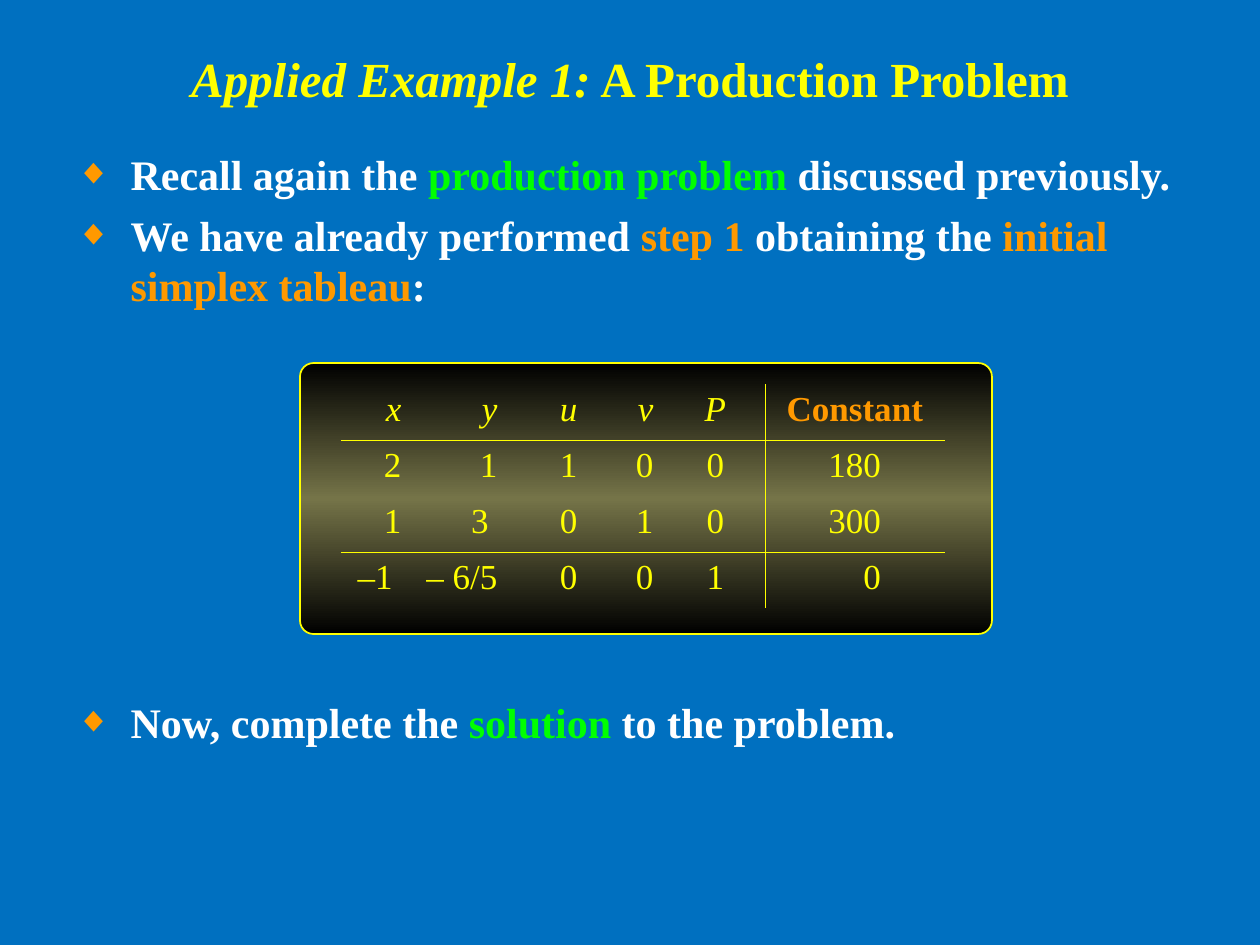
import copy

import pptx
import pptx.dml.color
import pptx.enum.shapes
import pptx.enum.text
import pptx.oxml
import pptx.oxml.ns
import pptx.util

COLORS = {
    "background": "0070C0",
    "yellow": "FFFF00",
    "white": "FFFFFF",
    "green": "00FF00",
    "orange": "FF9900",
    "black": "000000",
    "olive": "757448",
}
FONT = "Times New Roman"
PX_PER_INCH = 126
PLAIN_TABLE = "{2D5ABB26-0587-4C30-8999-92F81FD0307C}"
ALIGN = pptx.enum.text.PP_ALIGN
qn = pptx.oxml.ns.qn


def px(n):
    return pptx.util.Emu(round(n * 914400 / PX_PER_INCH))


def rgb(name):
    return pptx.dml.color.RGBColor.from_string(COLORS[name])


def add_xml(parent, xml):
    """Append an element whose tag carries the a: prefix."""
    tag, rest = xml.split(" ", 1)
    parent.append(pptx.oxml.parse_xml(f"{tag} {pptx.oxml.ns.nsdecls('a')} {rest}"))


class SlideBuilder:
    def __init__(self, prs):
        self.slide = prs.slides.add_slide(prs.slide_layouts[1])
        fill = self.slide.background.fill
        fill.solid()
        fill.fore_color.rgb = rgb("background")

    def place(self, sp, left, top, width, height):
        sp.left, sp.top, sp.width, sp.height = map(px, (left, top, width, height))
        sp.text_frame.auto_size = pptx.enum.text.MSO_AUTO_SIZE.NONE

    def run(self, p, text, size, color, bold=False, italic=False):
        r = p.add_run()
        r.text = text
        r.font.name = FONT
        r.font.size = pptx.util.Pt(size)
        r.font.bold = bold
        r.font.italic = italic
        r.font.color.rgb = rgb(color)

    def title(self, box, lead, rest):
        sp = self.slide.shapes.title
        self.place(sp, *box)
        sp.text_frame.vertical_anchor = pptx.enum.text.MSO_ANCHOR.MIDDLE
        p = sp.text_frame.paragraphs[0]
        p.alignment = ALIGN.CENTER
        self.run(p, lead, 28, "yellow", bold=True, italic=True)
        self.run(p, rest, 28, "yellow", bold=True)

    def bullets(self, box, items):
        """Each item is (space before in points, [(text, colour), ...])."""
        sp = self.slide.placeholders[1]
        self.place(sp, *box)
        tf = sp.text_frame
        for i, (space, parts) in enumerate(items):
            p = tf.add_paragraph() if i else tf.paragraphs[0]
            pPr = p._p.get_or_add_pPr()
            pPr.set("marL", str(px(55)))
            pPr.set("indent", str(-px(55)))
            add_xml(pPr, f'<a:buClr ><a:srgbClr val="{COLORS["orange"]}"/></a:buClr>')
            add_xml(pPr, '<a:buSzPct val="85000"/>')
            add_xml(pPr, f'<a:buFont typeface="{FONT}"/>')
            add_xml(pPr, '<a:buChar char="◆"/>')
            p.line_spacing = 1.0
            p.space_before = pptx.util.Pt(space)
            for text, color in parts:
                self.run(p, text, 24, color, bold=True)

    def panel(self, left, top, width, height):
        sp = self.slide.shapes.add_shape(
            pptx.enum.shapes.MSO_SHAPE.ROUNDED_RECTANGLE,
            *map(px, (left, top, width, height)))
        sp.adjustments[0] = 0.05
        sp.shadow.inherit = False
        sp.line.color.rgb = rgb("yellow")
        sp.line.width = pptx.util.Pt(1)
        sp.fill.gradient()
        sp.fill.gradient_angle = 90
        stop_list = sp._element.spPr.find(qn("a:gradFill")).find(qn("a:gsLst"))
        stop_list.insert(1, copy.deepcopy(stop_list[0]))
        stops = zip(sp.fill.gradient_stops, (0, 0.5, 1), ("black", "olive", "black"))
        for stop, position, color in stops:
            stop.position = position
            stop.color.rgb = rgb(color)

    def borders(self, cell, sides):
        """Rule the sides marked true and leave the others explicitly empty."""
        solid = f'<a:solidFill><a:srgbClr val="{COLORS["yellow"]}"/></a:solidFill>'
        tcPr = cell._tc.get_or_add_tcPr()
        for side, shown in sides.items():
            fill = solid if shown else "<a:noFill/>"
            add_xml(tcPr, f'<a:ln{side} w="5715">{fill}</a:ln{side}>')

    def tableau(self, left, top, widths, row_height, rows, ruled_rows):
        """Simplex tableau with a rule below each ruled row and before the last column."""
        last = len(widths) - 1
        frame = self.slide.shapes.add_table(
            len(rows), len(widths), px(left), px(top),
            px(sum(widths)), px(row_height * len(rows)))
        table = frame.table
        table.first_row = table.horz_banding = False
        table._tbl.tblPr.find(qn("a:tableStyleId")).text = PLAIN_TABLE
        for column, width in zip(table.columns, widths):
            column.width = px(width)
        for i, values in enumerate(rows):
            table.rows[i].height = px(row_height)
            for j, value in enumerate(values):
                cell = table.cell(i, j)
                header, constant = i == 0, j == last
                self.borders(cell, {"L": constant, "R": j == last - 1,
                                    "T": i - 1 in ruled_rows, "B": i in ruled_rows})
                cell.fill.background()
                p = cell.text_frame.paragraphs[0]
                if j == last - 1 or (header and constant):
                    p.alignment = ALIGN.CENTER
                else:
                    p.alignment = ALIGN.RIGHT
                    cell.margin_left = px(4)
                if constant and not header:
                    cell.margin_right = px(64)
                label = header and constant
                self.run(p, value, 20, "orange" if label else "yellow",
                         bold=label, italic=header and not constant)


def main():
    prs = pptx.Presentation()
    prs.slide_width, prs.slide_height = px(1260), px(945)
    s = SlideBuilder(prs)
    s.title((63, 0, 1134, 155), "Applied Example 1:", " A Production Problem")
    s.bullets((63, 142, 1144, 803), [
        (0, [("Recall again the ", "white"), ("production problem", "green"),
             (" discussed previously.", "white")]),
        (6, [("We have already performed ", "white"), ("step 1", "orange"),
             (" obtaining the ", "white"), ("initial simplex tableau", "orange"),
             (":", "white")]),
        (221, [("Now, complete the ", "white"), ("solution", "green"),
               (" to the problem.", "white")]),
    ])
    s.panel(300, 363, 692, 271)
    s.tableau(341, 384, (73, 96, 80, 76, 99, 180), 56, [
        ("x", "y", "u", "v", "P", "Constant"),
        ("2", "1", "1", "0", "0", "180"),
        ("1", "3 ", "0", "1", "0", "300"),
        ("–1 ", "– 6/5", "0", "0", "1", "0"),
    ], ruled_rows=(0, 2))
    prs.save("out.pptx")


if __name__ == "__main__":
    main()
